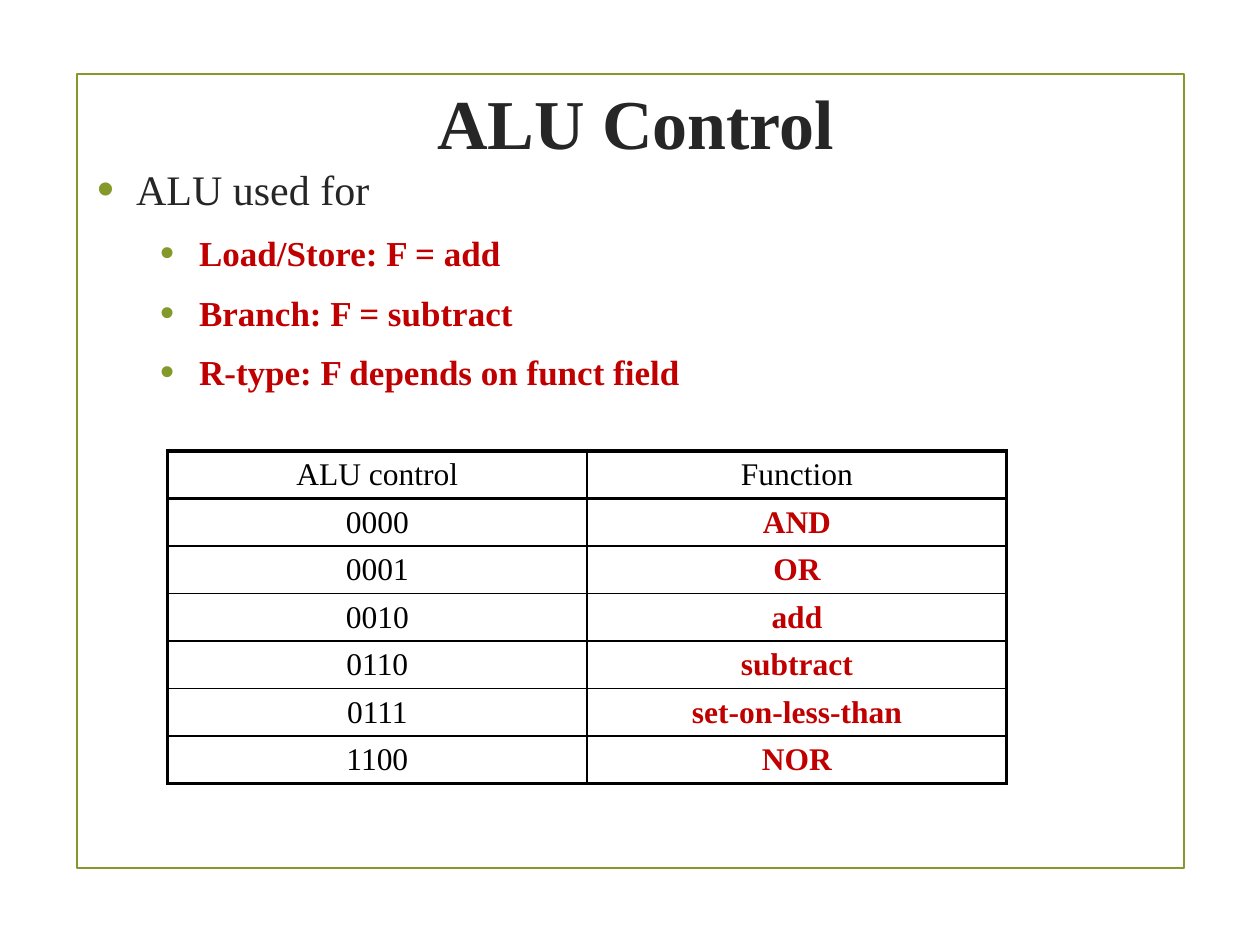
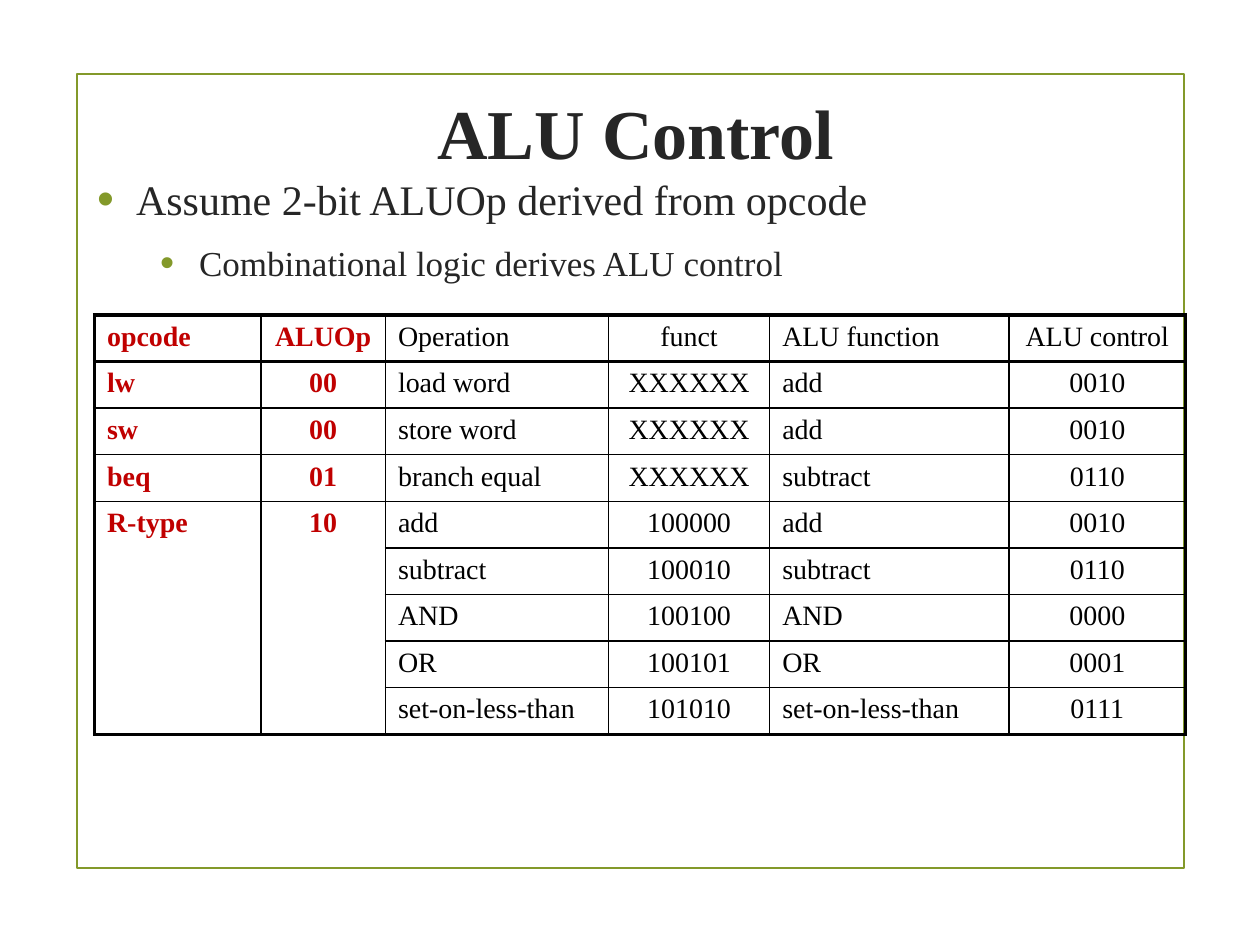
from lxml.etree import SubElement
from pptx import Presentation
from pptx.dml.color import RGBColor
from pptx.enum.shapes import MSO_SHAPE
from pptx.enum.text import MSO_ANCHOR, MSO_AUTO_SIZE, PP_ALIGN
from pptx.oxml.ns import qn
from pptx.util import Inches, Pt

FONT = "Times New Roman"
GREEN = RGBColor(0x83, 0x99, 0x2A)
CHARCOAL = RGBColor(0x26, 0x26, 0x26)
RED = RGBColor(0xC0, 0x00, 0x00)
BLACK = RGBColor(0x00, 0x00, 0x00)

OUTER, HEADER, INNER = Pt(2.25), Pt(1.5), Pt(1)
ROW_HEIGHT = 0.37
LEVEL_INDENTS = (0.31, 0.81)
LEVEL_SIZES = (24, 20)

FUNCTION_ROWS = [
    ("ALU control", "Function"),
    ("0000", "AND"),
    ("0001", "OR"),
    ("0010", "add"),
    ("0110", "subtract"),
    ("0111", "set-on-less-than"),
    ("1100", "NOR"),
]
OPCODE_ROWS = [
    ("opcode", "ALUOp", "Operation", "funct", "ALU function", "ALU control"),
    ("lw", "00", "load word", "XXXXXX", "add", "0010"),
    ("sw", "00", "store word", "XXXXXX", "add", "0010"),
    ("beq", "01", "branch equal", "XXXXXX", "subtract", "0110"),
    ("R-type", "10", "add", "100000", "add", "0010"),
    ("", "", "subtract", "100010", "subtract", "0110"),
    ("", "", "AND", "100100", "AND", "0000"),
    ("", "", "OR", "100101", "OR", "0001"),
    ("", "", "set-on-less-than", "101010", "set-on-less-than", "0111"),
]


def write_text(paragraph, text, size=18, color=BLACK, bold=False, align=PP_ALIGN.LEFT):
    """Write formatted text into a paragraph."""
    paragraph.alignment = align
    run = paragraph.add_run()
    run.text = text
    font = run.font
    font.name, font.size, font.bold = FONT, Pt(size), bold
    font.color.rgb = color


def place(shape, box):
    """Move a shape to a box of left, top, width and height in inches."""
    shape.left, shape.top, shape.width, shape.height = map(Inches, box)


def add_bullet(paragraph, level):
    """Give a paragraph the round green bullet of its level."""
    paragraph.level = level
    properties = paragraph._p.get_or_add_pPr()
    properties.set("marL", str(Inches(LEVEL_INDENTS[level])))
    properties.set("indent", str(-Inches(LEVEL_INDENTS[0])))
    bullet_color = SubElement(properties, qn("a:buClr"))
    SubElement(bullet_color, qn("a:srgbClr"), val=str(GREEN))
    SubElement(properties, qn("a:buSzPct"), val="115000")
    SubElement(properties, qn("a:buFont"), typeface="Arial")
    SubElement(properties, qn("a:buChar"), char="•")


def add_frame(slide, box):
    """Draw the thin green frame."""
    frame = slide.shapes.add_shape(MSO_SHAPE.RECTANGLE, *map(Inches, box))
    frame.shadow.inherit = False
    frame.fill.background()
    frame.line.color.rgb = GREEN
    frame.line.width = Pt(1.25)


def fill_title(slide, text, box):
    """Place and fill the title."""
    title = slide.shapes.title
    place(title, box)
    title.text_frame.vertical_anchor = MSO_ANCHOR.MIDDLE
    title.text_frame.auto_size = MSO_AUTO_SIZE.NONE
    write_text(title.text_frame.paragraphs[0], text, size=40, color=CHARCOAL,
               bold=True, align=PP_ALIGN.CENTER)


def fill_body(slide, heading, details, box, **detail_format):
    """Place the body and fill it with a heading bullet and detail bullets."""
    body = slide.placeholders[1]
    place(body, box)
    frame = body.text_frame
    frame.auto_size = MSO_AUTO_SIZE.NONE
    for index, text in enumerate([heading, *details]):
        level = min(index, 1)
        paragraph = frame.add_paragraph() if index else frame.paragraphs[0]
        add_bullet(paragraph, level)
        paragraph.space_after = Pt(6)
        if index == 0:
            paragraph.space_before = Pt(0)
        text_format = {"color": CHARCOAL, **(detail_format if level else {})}
        write_text(paragraph, text, size=LEVEL_SIZES[level], **text_format)


def set_borders(cell, **widths):
    """Draw black cell borders, given a width for each side."""
    properties = cell._tc.get_or_add_tcPr()
    for side, width in widths.items():
        line = SubElement(properties, qn(f"a:ln{side}"), w=str(width))
        fill = SubElement(line, qn("a:solidFill"))
        SubElement(fill, qn("a:srgbClr"), val=str(BLACK))


def add_grid(slide, rows, column_widths, left, top, size, centered, is_red, merges=()):
    """Add a ruled table with a heavy outline and a ruled header row."""
    row_count, column_count = len(rows), len(column_widths)
    table = slide.shapes.add_table(
        row_count, column_count, Inches(left), Inches(top),
        Inches(sum(column_widths)), Inches(ROW_HEIGHT * row_count)).table
    table.first_row = table.horz_banding = False
    for column, width in zip(table.columns, column_widths):
        column.width = Inches(width)
    for row in table.rows:
        row.height = Inches(ROW_HEIGHT)
    for first, last in merges:
        table.cell(*first).merge(table.cell(*last))
    for row_index, row in enumerate(rows):
        for column_index, text in enumerate(row):
            cell = table.cell(row_index, column_index)
            last_row = row_index + (cell.span_height if cell.is_merge_origin else 1) - 1
            borders = {
                "L": OUTER if column_index == 0 else INNER,
                "R": OUTER if column_index == column_count - 1 else INNER,
            }
            if not cell.is_spanned:
                borders["T"] = {0: OUTER, 1: HEADER}.get(row_index, INNER)
            if not cell.is_spanned or last_row == row_count - 1:
                borders["B"] = {0: HEADER, row_count - 1: OUTER}.get(last_row, INNER)
            set_borders(cell, **borders)
            cell.fill.background()
            if text:
                red = is_red(row_index, column_index)
                paragraph = cell.text_frame.paragraphs[0]
                write_text(paragraph, text, size=size, bold=red,
                           color=RED if red else BLACK,
                           align=PP_ALIGN.CENTER if column_index in centered else PP_ALIGN.LEFT)


def start_slide(presentation, title_top):
    """Add a slide with the shared frame and title."""
    slide = presentation.slides.add_slide(presentation.slide_layouts[1])
    add_frame(slide, (0.61, 0.59, 8.79, 6.3))
    fill_title(slide, "ALU Control", (0.67, title_top, 8.75, 1.43))
    return slide


def build_function_slide(presentation):
    """Build the slide on the function of each ALU control code."""
    slide = start_slide(presentation, 0.25)
    uses = ["Load/Store: F = add", "Branch: F = subtract",
            "R-type: F depends on funct field"]
    fill_body(slide, "ALU used for", uses, (0.67, 1.25, 9.05, 2.6), color=RED, bold=True)
    add_grid(slide, FUNCTION_ROWS, (3.33, 3.33), 1.33, 3.58, 18, centered=(0, 1),
             is_red=lambda row, column: row > 0 and column == 1)


def build_opcode_slide(presentation):
    """Build the slide that derives ALU control from the opcode."""
    slide = start_slide(presentation, 0.33)
    fill_body(slide, "Assume 2-bit ALUOp derived from opcode",
              ["Combinational logic derives ALU control"], (0.67, 1.33, 8.92, 3.77))
    add_grid(slide, OPCODE_ROWS, (1.32, 0.99, 1.77, 1.28, 1.9, 1.4), 0.75, 2.5, 16,
             centered=(1, 3, 5), is_red=lambda row, column: column < 2,
             merges=[((4, column), (8, column)) for column in (0, 1)])


def main():
    """Build and save the presentation."""
    presentation = Presentation()
    presentation.slide_width, presentation.slide_height = Inches(10), Inches(7.5)
    build_function_slide(presentation)
    build_opcode_slide(presentation)
    presentation.save("out.pptx")


if __name__ == "__main__":
    main()
